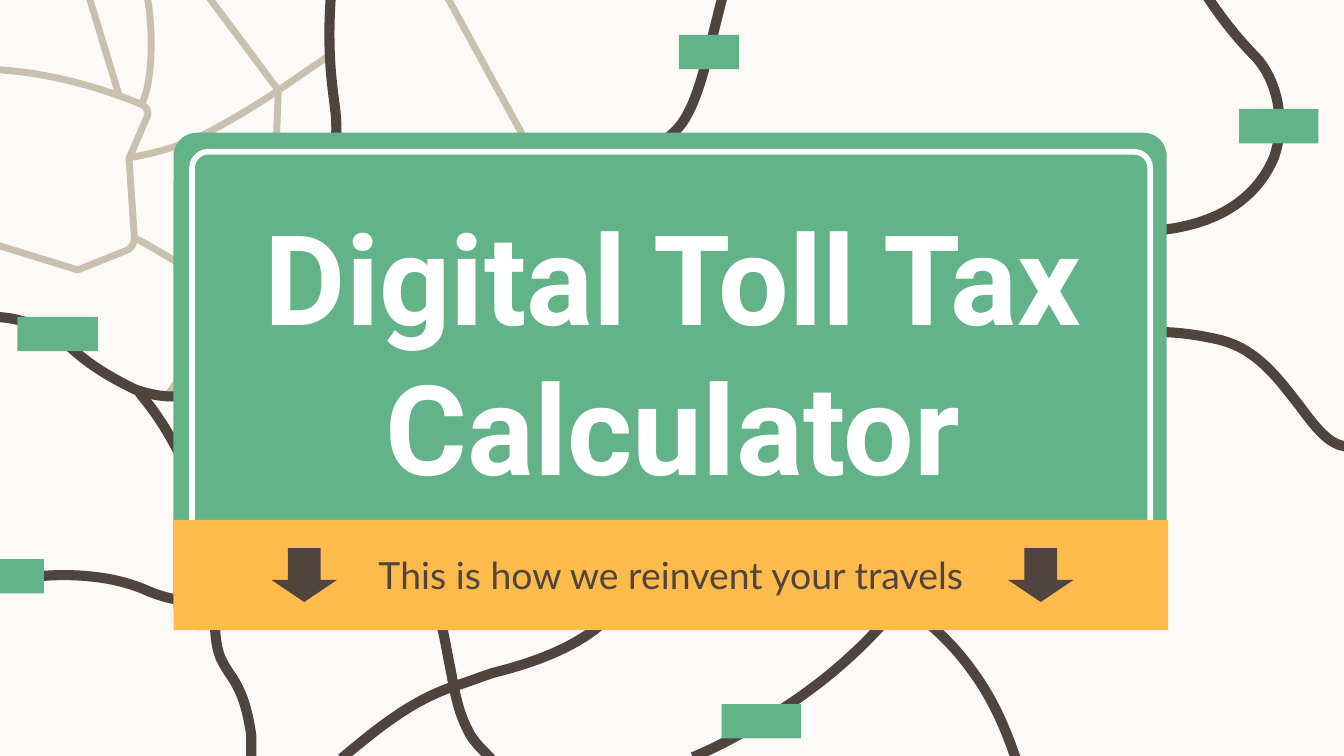
from dataclasses import dataclass

from lxml import etree
from pptx import Presentation
from pptx.dml.color import RGBColor
from pptx.enum.shapes import MSO_SHAPE
from pptx.enum.text import MSO_ANCHOR, MSO_AUTO_SIZE, PP_ALIGN
from pptx.oxml.ns import qn
from pptx.util import Cm, Pt

RECT = MSO_SHAPE.RECTANGLE
ROUNDED = MSO_SHAPE.ROUNDED_RECTANGLE
DOWN_ARROW = MSO_SHAPE.DOWN_ARROW
MIDDLE = MSO_ANCHOR.MIDDLE
CENTER = PP_ALIGN.CENTER
NO_AUTOFIT = MSO_AUTO_SIZE.NONE

COLORS = {
    "paper": "FCF9F7",
    "street": "C9C0AD",
    "road": "50443F",
    "sign": "63B389",
    "banner": "FFBA4C",
    "white": "FFFFFF",
}
MAP_UNIT = Cm(2.54)
CURVE_STEPS = 16


@dataclass(frozen=True)
class Box:
    left: float
    top: float
    width: float
    height: float

    def emu(self) -> tuple:
        return Cm(self.left), Cm(self.top), Cm(self.width), Cm(self.height)


@dataclass(frozen=True)
class Track:
    start: tuple
    segments: tuple

    def points(self) -> list:
        pts = [self.start]
        for seg in self.segments:
            if len(seg) == 2:
                pts.append(seg)
                continue
            ctrl = [pts[-1], seg[:2], seg[2:4], seg[4:]]
            for i in range(1, CURVE_STEPS + 1):
                t = i / CURVE_STEPS
                u = 1 - t
                weights = (u**3, 3 * u * u * t, 3 * u * t * t, t**3)
                pts.append(tuple(sum(w * c[k] for w, c in zip(weights, ctrl)) for k in (0, 1)))
        return [(x * MAP_UNIT, y * MAP_UNIT) for x, y in pts]


@dataclass(frozen=True)
class Network:
    color: str
    width: float
    tracks: tuple


STREETS = Network("street", 3.7, (
    Track((0, 0.52), ((0.46, 0.55, 0.87, 0.7, 1.06, 0.78), (1.1, 0.81, 1.11, 0.84, 1.09, 0.88),
                      (0.96, 1.18), (1, 1.77), (1, 1.81, 0.98, 1.84, 0.95, 1.86), (0.6, 2),
                      (0.58, 2.01, 0.57, 2.01, 0.55, 2), (0, 1.83))),
    Track((0.67, 0), ((0.88, 0.69),)),
    Track((1.1, 0), ((1.15, 0.3, 1.12, 0.65, 1.06, 0.76),)),
    Track((1.57, 0), ((2.04, 0.63), (2.06, 0.65, 2.07, 0.67, 2.07, 0.7), (2.05, 1.2))),
    Track((0.98, 1.17), ((1.17, 1.14, 1.35, 1.08, 1.5, 1.01), (1.64, 0.94, 1.85, 0.82, 2.06, 0.68),
                         (2.44, 0.42))),
    Track((3.34, 0), ((4.12, 1.43),)),
    Track((1.02, 1.78), ((1.12, 1.83, 1.4, 2, 1.76, 2.22), (1.24, 2.95))),
))

ROADS = Network("road", 5.4, (
    Track((2.46, 0), ((2.44, 0.33, 2.46, 0.54, 2.48, 0.7), (2.5, 0.85, 2.52, 0.98, 2.48, 1.14))),
    Track((5.37, 0), ((5.35, 0.08, 5.33, 0.16, 5.31, 0.24), (5.25, 0.48, 5.2, 0.7, 5.11, 0.86),
                      (5.02, 1.03, 4.85, 1.11, 4.68, 1.18))),
    Track((9, 0), ((9.12, 0.18, 9.25, 0.33, 9.34, 0.42), (9.51, 0.6, 9.57, 0.92, 9.48, 1.17),
                   (9.38, 1.41, 9.15, 1.65, 8.66, 1.71), (8.57, 1.72, 8.47, 1.73, 8.38, 1.73))),
    Track((10, 3.32), ((9.88, 3.3, 9.78, 3.17, 9.67, 3.02), (9.52, 2.83, 9.36, 2.6, 9.08, 2.53),
                       (8.91, 2.49, 8.75, 2.47, 8.6, 2.47))),
    Track((0, 2.36), ((0.24, 2.38, 0.36, 2.47, 0.53, 2.59), (0.64, 2.69, 0.78, 2.79, 1.01, 2.9),
                      (1.1, 2.93, 1.19, 2.95, 1.27, 2.95), (1.4, 2.95, 1.53, 2.91, 1.64, 2.84))),
    Track((1.06, 2.95), ((1.35, 3.3, 1.62, 3.9, 1.6, 4.49), (1.59, 4.85, 1.64, 4.9, 1.7, 5),
                         (1.77, 5.1, 1.83, 5.2, 1.87, 5.47), (1.87, 5.52, 1.87, 5.57, 1.87, 5.62))),
    Track((0, 4.34), ((0.06, 4.32, 0.24, 4.28, 0.47, 4.28), (0.65, 4.28, 0.86, 4.3, 1.06, 4.38),
                      (1.21, 4.45, 1.38, 4.49, 1.64, 4.49))),
    Track((2.57, 5.62), ((2.8, 5.43, 3.05, 5.22, 3.37, 5.11), (3.47, 5.08, 3.57, 5.04, 3.66, 5.01),
                         (4.39, 4.83, 4.58, 4.58, 4.8, 4.27))),
    Track((3.63, 5.62), ((3.57, 5.56, 3.51, 5.5, 3.48, 5.43), (3.39, 5.26, 3.37, 5.05, 3.34, 4.92),
                         (3.29, 4.65, 3.25, 4.4, 3.1, 4.33))),
    Track((5.19, 5.62), ((5.33, 5.56, 5.46, 5.49, 5.6, 5.41), (6.04, 5.16, 6.4, 4.86, 6.69, 4.5))),
    Track((7.55, 5.62), ((7.5, 5.48, 7.41, 5.23, 7.24, 5), (7.1, 4.8, 6.92, 4.63, 6.7, 4.48))),
))

PLATES = (
    Box(-0.36, 10.57, 1.19, 0.65),
    Box(0.33, 5.99, 1.52, 0.65),
    Box(13.64, 13.31, 1.5, 0.65),
    Box(23.42, 2.06, 1.5, 0.65),
    Box(12.83, 0.66, 1.14, 0.65),
)
SIGN = Box(3.28, 2.51, 18.77, 9.4)
PANEL = Box(3.63, 2.87, 18.11, 8.74)
TITLE = Box(3.89, 4.04, 17.65, 5.18)
BANNER = Box(3.28, 9.83, 18.8, 2.08)
ARROWS = tuple(Box(x, 10.36, 1.24, 1.02) for x in (5.13, 19.05))

FRAME_FORMAT = {
    "word_wrap": True,
    "auto_size": NO_AUTOFIT,
    "vertical_anchor": MIDDLE,
    "margin_left": Cm(0.25),
    "margin_right": Cm(0.25),
    "margin_top": Cm(0.25),
    "margin_bottom": Cm(0.25),
}


def rgb(name: str) -> RGBColor:
    return RGBColor.from_string(COLORS[name])


def paint(s, color: str) -> None:
    s.fill.solid()
    s.fill.fore_color.rgb = rgb(color)


def draw_network(shapes, net: Network) -> None:
    first, *others = [t.points() for t in net.tracks]
    builder = shapes.build_freeform(*first[0], scale=1.0)
    builder.add_line_segments(first[1:], close=False)
    for pts in others:
        builder.move_to(*pts[0])
        builder.add_line_segments(pts[1:], close=False)
    s = builder.convert_to_shape()
    s.shadow.inherit = False
    s.fill.background()
    s.line.color.rgb = rgb(net.color)
    s.line.width = Pt(net.width)
    ln = s.element.spPr.find(qn("a:ln"))
    ln.set("cap", "sq")
    etree.SubElement(ln, qn("a:round"))


def draw_shape(shapes, kind, box: Box, color: str, adjustments: tuple = ()):
    s = shapes.add_shape(kind, *box.emu())
    s.shadow.inherit = False
    paint(s, color)
    s.line.fill.background()
    for i, value in enumerate(adjustments):
        s.adjustments[i] = value
    return s


def write(s, text: str, font: dict, color: str) -> None:
    tf = s.text_frame
    for name, value in FRAME_FORMAT.items():
        setattr(tf, name, value)
    p = tf.paragraphs[0]
    p.alignment = CENTER
    r = p.add_run()
    r.text = text
    for name, value in font.items():
        setattr(r.font, name, value)
    r.font.color.rgb = rgb(color)


def main() -> None:
    prs = Presentation()
    prs.slide_width, prs.slide_height = Cm(25.4), Cm(14.29)
    slide = prs.slides.add_slide(prs.slide_layouts[5])
    paint(slide.background, "paper")
    shapes = slide.shapes

    for net in (STREETS, ROADS):
        draw_network(shapes, net)
    for plate in PLATES:
        draw_shape(shapes, RECT, plate, "sign")

    draw_shape(shapes, ROUNDED, SIGN, "sign", (0.047,))
    draw_shape(shapes, RECT, PANEL, "sign")
    border = draw_shape(shapes, ROUNDED, PANEL, "sign", (0.035,))
    border.fill.background()
    border.line.color.rgb = rgb("white")
    border.line.width = Pt(3)

    title = shapes.title
    title.left, title.top, title.width, title.height = TITLE.emu()
    paint(title, "sign")
    write(title, "Digital Toll Tax Calculator", {"name": "Roboto", "size": Pt(67), "bold": True}, "white")
    title.element.getparent().append(title.element)

    banner = draw_shape(shapes, RECT, BANNER, "banner")
    write(banner, "This is how we reinvent your travels", {"name": "Lato", "size": Pt(20)}, "road")
    for arrow in ARROWS:
        draw_shape(shapes, DOWN_ARROW, arrow, "road", (0.5, 0.409))

    prs.save("out.pptx")


if __name__ == "__main__":
    main()
